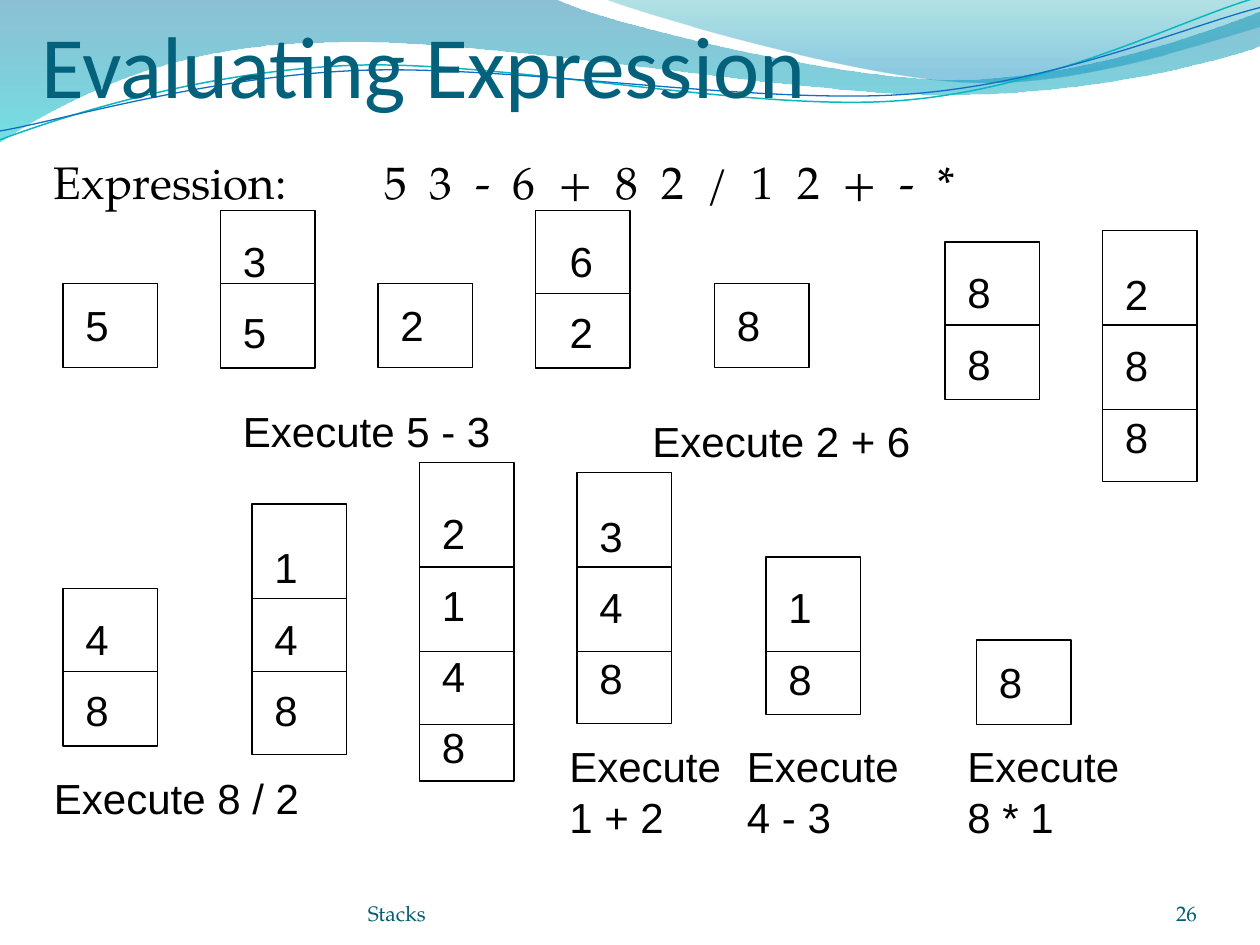
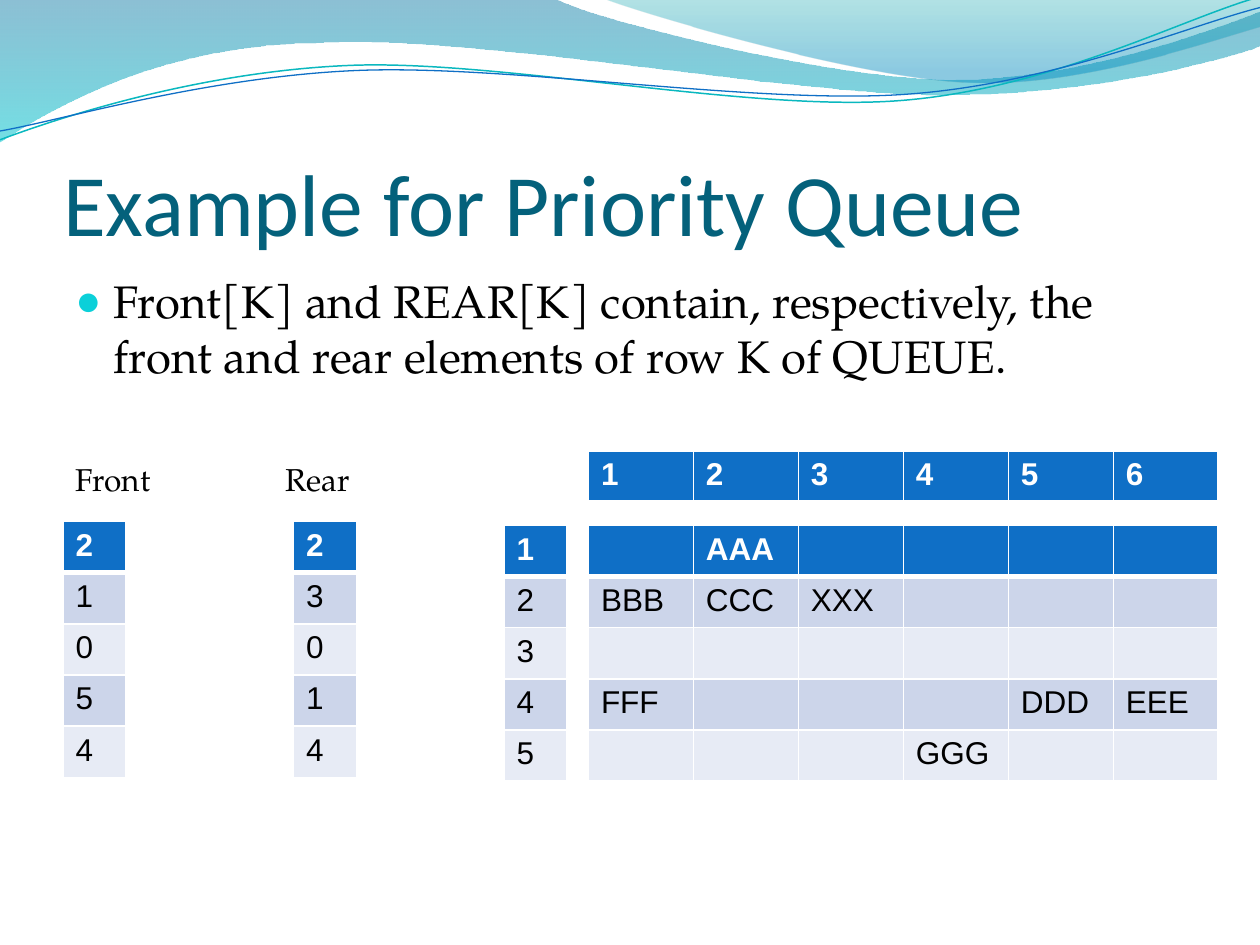
import pptx
import pptx.util
import pptx.dml.color
import pptx.enum.shapes
import pptx.enum.text
import pptx.oxml.ns
import lxml.etree
from dataclasses import dataclass

Inches = pptx.util.Inches
Pt = pptx.util.Pt
RGB = pptx.dml.color.RGBColor.from_string
qn = pptx.oxml.ns.qn


@dataclass(frozen=True)
class Theme:
    title_color: str = "04617B"
    footer_color: str = "045D75"
    ink: str = "000000"
    white: str = "FFFFFF"
    bullet: str = "0BD0D9"
    header: str = "0F6FC6"
    bands: tuple = ("E7EBF5", "CCD5EA")
    title_font: str = "Calibri"
    body_font: str = "TeX Gyre Pagella"
    label_font: str = "Arial"
    title_size: int = 50
    body_size: int = 26
    label_size: int = 24
    table_size: int = 18
    footer_size: int = 12


theme = Theme()


def write_text(frame, lines, font, size, color=theme.ink, bold=False, space_percent=0):
    """Fill a text frame with one paragraph per line, spaced by a share of the line height."""
    frame.word_wrap = True
    for index, line in enumerate(lines):
        paragraph = frame.paragraphs[0] if index == 0 else frame.add_paragraph()
        if space_percent:
            before = lxml.etree.SubElement(paragraph._p.get_or_add_pPr(), qn("a:spcBef"))
            lxml.etree.SubElement(before, qn("a:spcPct"), val=str(space_percent * 1000))
        run = paragraph.add_run()
        run.text = line
        run.font.name = font
        run.font.size = Pt(size)
        run.font.bold = bold
        run.font.color.rgb = RGB(color)
    return frame


def add_grid(slide, left, top, column_width, rows, row_height=2.03 / 5):
    """Add a banded table whose first row is the header."""
    row_count, column_count = len(rows), len(rows[0])
    table = slide.shapes.add_table(
        row_count, column_count, Inches(left), Inches(top),
        Inches(column_width * column_count), Inches(row_height * row_count)).table
    for row_index, row in enumerate(rows):
        is_header = row_index == 0
        for column_index, value in enumerate(row):
            cell = table.cell(row_index, column_index)
            properties = cell._tc.get_or_add_tcPr()
            for side in ("lnL", "lnR", "lnT", "lnB"):
                width = Pt(3 if is_header and side == "lnB" else 1)
                border = lxml.etree.SubElement(properties, qn("a:" + side), w=str(width))
                border_fill = lxml.etree.SubElement(border, qn("a:solidFill"))
                lxml.etree.SubElement(border_fill, qn("a:srgbClr"), val=theme.white)
            cell.fill.solid()
            cell.fill.fore_color.rgb = RGB(theme.header if is_header else theme.bands[row_index % 2])
            if value:
                write_text(cell.text_frame, [value], theme.label_font, theme.table_size,
                           theme.white if is_header else theme.ink, is_header)


presentation = pptx.Presentation()
presentation.slide_width = Inches(10)
presentation.slide_height = Inches(7.5)
layout = presentation.slide_layouts[5]

# Slides with their titles
slides = []
for title_text, left, top, height in (
        ("Evaluating Expression", 0.33, 0, 0.92),
        ("Example for Priority Queue", 0.5, 0.77, 1.25)):
    slide = presentation.slides.add_slide(layout)
    title = slide.shapes.title
    title.left, title.top = Inches(left), Inches(top)
    title.width, title.height = Inches(9), Inches(height)
    frame = write_text(title.text_frame, [title_text], theme.title_font,
                       theme.title_size, theme.title_color)
    frame.auto_size = pptx.enum.text.MSO_AUTO_SIZE.NONE
    frame.vertical_anchor = pptx.enum.text.MSO_ANCHOR.BOTTOM
    frame.margin_left = frame.margin_right = frame.margin_bottom = 0
    frame.margin_top = Inches(0.05)
    frame.paragraphs[0].alignment = pptx.enum.text.PP_ALIGN.LEFT
    slides.append(slide)
expression_slide, queue_slide = slides

# Wave band, kept on the shared layout: two numbers make a line, six a Bezier curve
waves = (
    # segments, gradient stops (position, colour, opacity), line (colour, width)
    ([(0, -0.01), (4.4, -0.01), (4.76, 0.17, 6.64, 0.63, 7.58, 0.63),
      (8.53, 0.63, 9.58, 0.26, 10, 0.09), (10.01, 0.36),
      (9.83, 0.44, 8.7, 0.76, 7.46, 0.75), (6.22, 0.75, 3.82, 0.28, 2.57, 0.34),
      (1.29, 0.35, 0.46, 0.83, -0.01, 1.13)],
     ((0, "0074A1", 45), (1, "00C6CF", 55)), None),
    ([(4.79, -0.01), (5.09, 0.11, 6.82, 0.62, 7.69, 0.65),
      (8.56, 0.69, 9.61, 0.32, 10, 0.21), (10, 0)],
     ((0, "00A1A9", 30), (0.8, "008BBF", 45)), None),
    ([(0, 1.11), (0.48, 0.93, 1.58, 0.57, 2.77, 0.52), (3.95, 0.47, 5.93, 0.89, 7.13, 0.8),
      (8.33, 0.71, 9.38, 0.15, 9.98, -0.02)], None, ("0AB8BF", 0.85)),
    ([(0, 1.04), (0.47, 0.96, 1.64, 0.61, 2.83, 0.56), (4.03, 0.51, 5.97, 0.83, 7.17, 0.75),
      (8.36, 0.67, 9.41, 0.21, 10, 0.06)], None, ("0F6FC6", 0.75)),
)
units_per_inch = 1000
for wave_index, (segments, stops, line) in enumerate(waves):
    points = [(segment[start] * units_per_inch, segment[start + 1] * units_per_inch)
              for segment in segments for start in range(0, len(segment), 2)]
    builder = expression_slide.shapes.build_freeform(*points[0], scale=Inches(1) / units_per_inch)
    builder.add_line_segments(points[1:], close=stops is not None)
    wave = builder.convert_to_shape()
    wave.shadow.inherit = False

    # Join each three points of a curve into one Bezier command
    steps = iter(list(wave._element.iter(qn("a:lnTo"))))
    for segment in segments[1:]:
        segment_steps = [next(steps) for _ in range(len(segment) // 2)]
        if len(segment_steps) == 3:
            outline = segment_steps[0].getparent()
            curve = lxml.etree.Element(qn("a:cubicBezTo"))
            outline.insert(outline.index(segment_steps[0]), curve)
            for step in segment_steps:
                curve.append(step[0])
                outline.remove(step)

    if stops:
        wave.line.fill.background()
        wave.fill.gradient()
        wave.fill.gradient_angle = 270
        for stop, (position, color, _) in zip(wave.fill.gradient_stops, stops):
            stop.position = position
            stop.color.rgb = RGB(color)
        for color_node, (_, _, opacity) in zip(wave._element.iter(qn("a:srgbClr")), stops):
            lxml.etree.SubElement(color_node, qn("a:alpha"), val=str(opacity * 1000))
    else:
        wave.fill.background()
        wave.line.color.rgb = RGB(line[0])
        wave.line.width = Pt(line[1])
    layout.shapes._spTree.insert(2 + wave_index, wave._element)

# Footer and page number
for text, left, width, alignment in (
        ("Stacks", 2.92, 3.67, pptx.enum.text.PP_ALIGN.LEFT),
        ("26", 8.67, 0.83, pptx.enum.text.PP_ALIGN.RIGHT)):
    box = expression_slide.shapes.add_textbox(Inches(left), Inches(6.95), Inches(width), Inches(0.4))
    frame = write_text(box.text_frame, [text], theme.body_font, theme.footer_size, theme.footer_color)
    frame.margin_left = frame.margin_top = frame.margin_right = frame.margin_bottom = 0
    frame.vertical_anchor = pptx.enum.text.MSO_ANCHOR.BOTTOM
    frame.paragraphs[0].alignment = alignment

# Postfix expression, set off from its label by a tab stop
box = expression_slide.shapes.add_textbox(Inches(0.33), Inches(1.17), Inches(9), Inches(0.75))
frame = write_text(box.text_frame, ["Expression:\t" + "  ".join("53-6+82/12+-*")],
                   theme.body_font, theme.body_size, space_percent=20)
tab_stops = lxml.etree.SubElement(frame.paragraphs[0]._p.get_or_add_pPr(), qn("a:tabLst"))
lxml.etree.SubElement(tab_stops, qn("a:tab"), pos=str(Inches(2.62)), algn="l")

# Stack states: left, top, values from the top down, divider heights
stacks = (
    (0.5, 2.25, ["5"], []),
    (1.75, 1.67, ["3", "5"], [2.25]),
    (3, 2.25, ["2"], []),
    (4.25, 1.67, [" 6", " 2"], [2.33]),
    (5.67, 2.25, ["8"], []),
    (7.5, 1.92, ["8", "8"], [2.58]),
    (8.75, 1.83, ["2", "8", "8"], [2.58, 3.25]),
    (0.5, 4.67, ["4", "8"], [5.33]),
    (2, 4, ["1", "4", "8"], [4.75, 5.33]),
    (3.33, 3.67, ["2", "1", "4", "8"], [4.5, 5.17, 5.75]),
    (4.58, 3.75, ["3", "4", "8"], [4.5, 5.17]),
    (6.08, 4.42, ["1", "8"], [5.17]),
    (7.75, 5.08, ["8"], []),
)
stack_width = 0.75
stack_heights = {1: 0.67, 2: 1.25, 3: 1.99, 4: 2.53}
value_offsets = {1: 0.08, 2: 0.15, 3: 0.25, 4: 0.31}
for left, top, values, dividers in stacks:
    depth = len(values)
    stack = expression_slide.shapes.add_shape(
        pptx.enum.shapes.MSO_SHAPE.RECTANGLE, Inches(left), Inches(top),
        Inches(stack_width), Inches(stack_heights[depth]))
    stack.shadow.inherit = False
    stack.fill.background()
    stack.line.color.rgb = RGB(theme.ink)
    stack.line.width = Pt(0.75)
    box = expression_slide.shapes.add_textbox(
        Inches(left + 0.08), Inches(top + value_offsets[depth]),
        Inches(0.5), Inches(0.6 * depth - 0.1))
    write_text(box.text_frame, values, theme.label_font, theme.label_size, space_percent=50)
    for height in dividers:
        divider = expression_slide.shapes.add_connector(
            pptx.enum.shapes.MSO_CONNECTOR.STRAIGHT, Inches(left), Inches(height),
            Inches(left + stack_width), Inches(height))
        divider.line.color.rgb = RGB(theme.ink)
        divider.line.width = Pt(0.75)
        lxml.etree.SubElement(divider._element.spPr, qn("a:effectLst"))

# Operation labels
for left, top, width, lines in (
        (1.83, 3.17, 2.25, ["Execute 5 - 3"]),
        (5.08, 3.25, 2.25, ["Execute 2 + 6"]),
        (0.33, 6.08, 2.25, ["Execute 8 / 2"]),
        (4.42, 5.83, 1.5, ["Execute", "1 + 2"]),
        (5.83, 5.83, 1.42, ["Execute", "4 - 3"]),
        (7.58, 5.83, 1.42, ["Execute", "8 * 1"])):
    box = expression_slide.shapes.add_textbox(
        Inches(left), Inches(top), Inches(width), Inches(0.1 + 0.4 * len(lines)))
    write_text(box.text_frame, lines, theme.label_font, theme.label_size,
               space_percent=50 if len(lines) == 1 else 0)

# Queue explanation
box = queue_slide.shapes.add_textbox(Inches(0.5), Inches(2.12), Inches(9), Inches(4.8))
frame = write_text(
    box.text_frame,
    ["Front[K] and REAR[K] contain, respectively, the front and rear elements of row K of QUEUE."],
    theme.body_font, theme.body_size, space_percent=20)
properties = frame.paragraphs[0]._p.get_or_add_pPr()
properties.set("marL", str(Inches(0.3)))
properties.set("indent", str(-Inches(0.3)))
bullet_color = lxml.etree.SubElement(properties, qn("a:buClr"))
lxml.etree.SubElement(bullet_color, qn("a:srgbClr"), val=theme.bullet)
lxml.etree.SubElement(properties, qn("a:buSzPct"), val="95000")
lxml.etree.SubElement(properties, qn("a:buFont"), typeface=theme.label_font)
lxml.etree.SubElement(properties, qn("a:buChar"), char="●")

# Front and rear arrays
for label, label_left, label_width, table_left, values in (
        ("Front", 0.5, 0.92, 0.5, "21054"),
        ("Rear", 2.17, 0.83, 2.33, "23014")):
    box = queue_slide.shapes.add_textbox(
        Inches(label_left), Inches(3.6), Inches(label_width), Inches(0.4))
    write_text(box.text_frame, [label], theme.body_font, theme.table_size)
    add_grid(queue_slide, table_left, 4.14, 0.5, list(values))

# Queue matrix with its column and row numbers
queue_rows = [
    ["", "AAA", "", "", "", ""],
    ["BBB", "CCC", "XXX", "", "", ""],
    [""] * 6,
    ["FFF", "", "", "", "DDD", "EEE"],
    ["", "", "", "GGG", "", ""],
]
add_grid(queue_slide, 4.67, 4.17, 5 / 6, queue_rows)
add_grid(queue_slide, 4.67, 3.58, 5 / 6, ["123456"])
add_grid(queue_slide, 4, 4.17, 0.5, list("12345"))

presentation.save("out.pptx")
